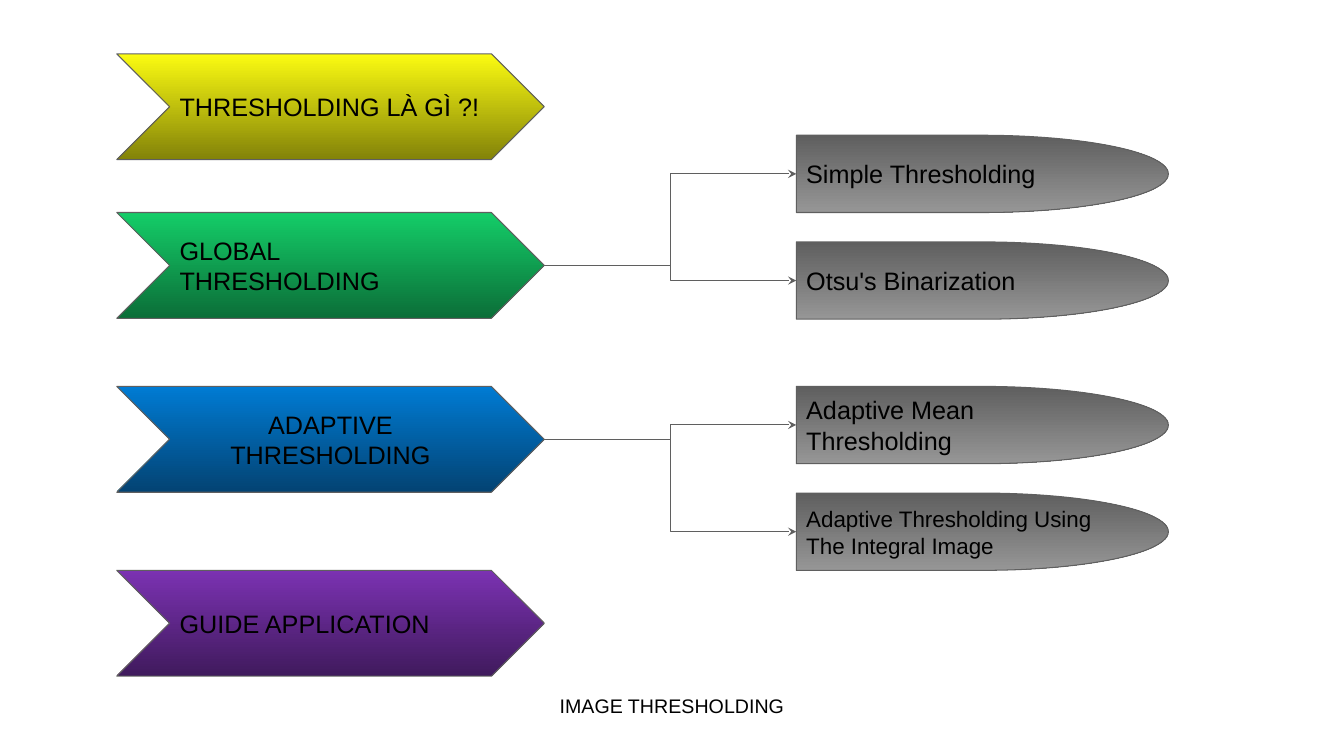
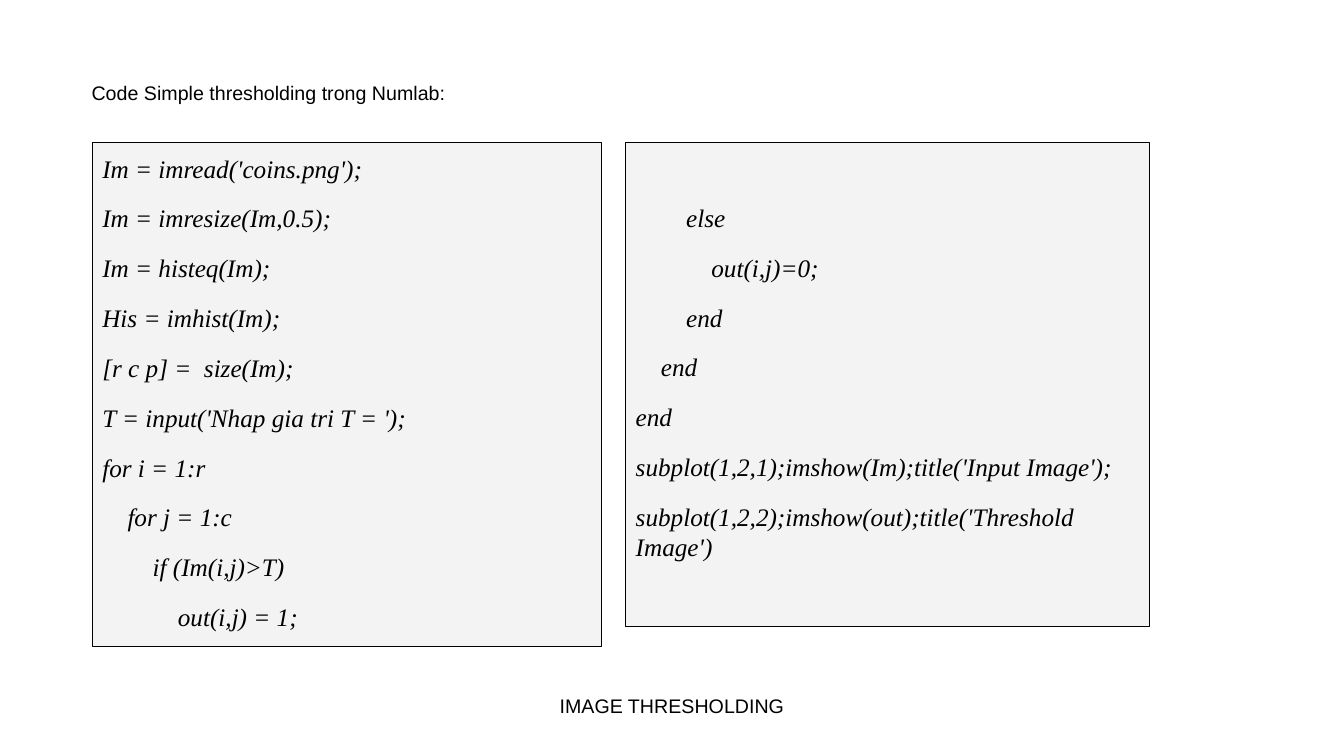
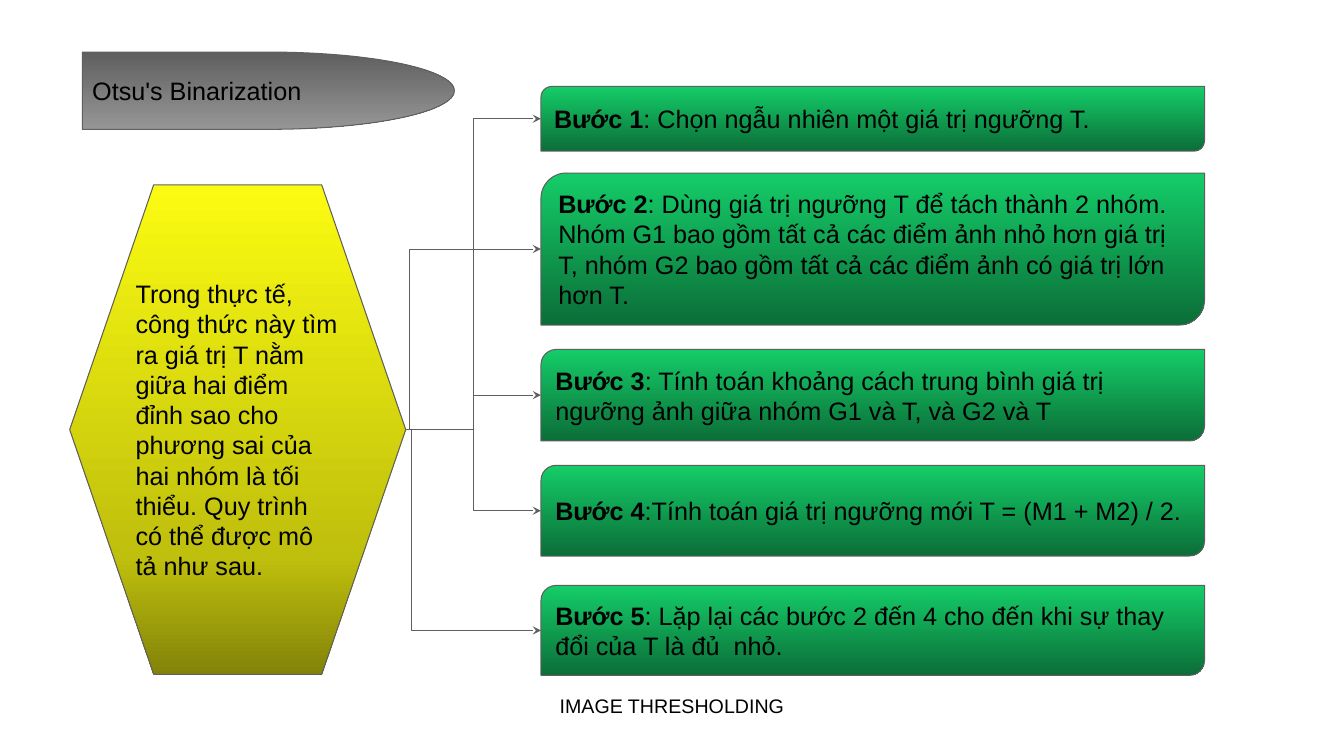
from dataclasses import dataclass
from typing import Optional

from lxml.etree import SubElement
from pptx import Presentation
from pptx.dml.color import RGBColor
from pptx.enum.shapes import MSO_CONNECTOR, MSO_SHAPE
from pptx.enum.text import MSO_ANCHOR, MSO_AUTO_SIZE, PP_ALIGN
from pptx.oxml.ns import qn
from pptx.util import Emu, Inches, Pt

WIDTH, HEIGHT = Inches(13.33), Inches(7.5)
COLUMNS, ROWS = 160, 90
TITLE_ONLY, BLANK = 5, 6

COLORS = {
    "text": "000000",
    "outline": "5F5F5F",
    "code_fill": "F3F3F3",
    "code_border": "000000",
}
GRADIENTS = {
    "yellow": ((0, "FBFB11"), (100, "838309")),
    "gold": ((0, "FBFB11"), (76, "BFBF0D"), (100, "838309")),
    "green": ((0, "14CD68"), (100, "0B6E38")),
    "blue": ((0, "007BD3"), (100, "034373")),
    "purple": ((0, "7B32B2"), (100, "401A5D")),
    "gray": ((0, "5F5F5F"), (100, "969696")),
}


@dataclass(frozen=True)
class Area:
    column: float
    row: float
    columns: float
    rows: float

    @property
    def right(self) -> float:
        return self.column + self.columns

    @property
    def middle(self) -> float:
        return self.row + self.rows / 2

    def lengths(self) -> tuple:
        return across(self.column), down(self.row), across(self.columns), down(self.rows)


@dataclass(frozen=True)
class Style:
    size: float = 18
    font: str = "Arial"
    italic: bool = False
    align: PP_ALIGN = PP_ALIGN.LEFT
    anchor: MSO_ANCHOR = MSO_ANCHOR.MIDDLE
    inset: float = 0.05
    top_inset: Optional[float] = None
    gap: float = 0


@dataclass(frozen=True)
class Line:
    text: str
    lead: str = ""
    level: int = 0


@dataclass(frozen=True)
class Topic:
    row: float
    text: str
    size: float = 18


@dataclass(frozen=True)
class Section:
    row: float
    text: str
    gradient: str
    align: PP_ALIGN = PP_ALIGN.LEFT
    topics: tuple = ()


@dataclass(frozen=True)
class Step:
    row: float
    rows: float
    text: str
    bend: float = 0.5


@dataclass(frozen=True)
class Listing:
    area: Area
    top_inset: float
    lines: tuple


CODE_INDENT = Inches(0.25)
FOOTER = "IMAGE THRESHOLDING"
FOOTER_AREA = Area(54.7, 82, 50.6, 6.2)
FOOTER_STYLE = Style(size=14, align=PP_ALIGN.CENTER, anchor=MSO_ANCHOR.TOP)
TITLE_AREA = Area(9.7, 8.4, 119.4, 8)
TITLE_STYLE = Style(size=14, anchor=MSO_ANCHOR.TOP, inset=0.1)

SECTIONS = (
    Section(6.4, "THRESHOLDING LÀ GÌ ?!", "yellow"),
    Section(25.3, "GLOBAL THRESHOLDING", "green", topics=(
        Topic(16.1, "Simple Thresholding"),
        Topic(28.8, "Otsu's Binarization"),
    )),
    Section(46, "ADAPTIVE THRESHOLDING", "blue", PP_ALIGN.CENTER, (
        Topic(46, "Adaptive Mean Thresholding"),
        Topic(58.7, "Adaptive Thresholding Using The Integral Image", 16),
    )),
    Section(67.9, "GUIDE APPLICATION", "purple"),
)

LISTINGS = (
    Listing(Area(11, 17, 60.6, 60), 0.1, (
        Line("Im = imread('coins.png');"),
        Line("Im = imresize(Im,0.5);"),
        Line("Im = histeq(Im);"),
        Line("His = imhist(Im);"),
        Line("[r c p] =  size(Im);"),
        Line("T = input('Nhap gia tri T = ');"),
        Line("for i = 1:r"),
        Line("for j = 1:c", level=1),
        Line("if (Im(i,j)>T)", level=2),
        Line("out(i,j) = 1;", level=3),
    )),
    Listing(Area(74.5, 17, 62.4, 57.6), 0.59, (
        Line("else", level=2),
        Line("out(i,j)=0;", level=3),
        Line("end", level=2),
        Line("end", level=1),
        Line("end"),
        Line("subplot(1,2,1);imshow(Im);title('Input Image');"),
        Line("subplot(1,2,2);imshow(out);title('Threshold Image')"),
    )),
)

OTSU_SUMMARY = (
    "Trong thực tế, công thức này tìm ra giá trị T nằm giữa hai điểm đỉnh sao cho "
    "phương sai của hai nhóm là tối thiểu. Quy trình có thể được mô tả như sau."
)
STEPS = (
    Step(10.3, 7.7, ": Chọn ngẫu nhiên một giá trị ngưỡng T."),
    Step(20.6, 18.1, ": Dùng giá trị ngưỡng T để tách thành 2 nhóm. Nhóm G1 bao gồm tất cả "
         "các điểm ảnh nhỏ hơn giá trị T, nhóm G2 bao gồm tất cả các điểm ảnh có giá trị "
         "lớn hơn T.", 0.03),
    Step(41.6, 10.9, ": Tính toán khoảng cách trung bình giá trị ngưỡng ảnh giữa nhóm G1 "
         "và T, và G2 và T"),
    Step(55.4, 10.8, ":Tính toán giá trị ngưỡng mới T = (M1 + M2) / 2."),
    Step(69.7, 10.7, ": Lặp lại các bước 2 đến 4 cho đến khi sự thay đổi của T là đủ  nhỏ.",
         0.04),
)


def across(columns: float) -> Emu:
    return Emu(round(WIDTH * columns / COLUMNS))


def down(rows: float) -> Emu:
    return Emu(round(HEIGHT * rows / ROWS))


def color(name: str) -> RGBColor:
    return RGBColor.from_string(COLORS[name])


def write(box, lines: tuple, style: Style) -> None:
    frame = box.text_frame
    frame.word_wrap = True
    frame.auto_size = MSO_AUTO_SIZE.NONE
    frame.vertical_anchor = style.anchor
    frame.margin_left = frame.margin_right = Inches(0.1)
    frame.margin_bottom = Inches(style.inset)
    frame.margin_top = Inches(style.top_inset or style.inset)
    for index, line in enumerate(lines):
        para = frame.add_paragraph() if index else frame.paragraphs[0]
        para.alignment = style.align
        para.space_before = Pt(style.gap if index else 0)
        if line.level:
            para._p.get_or_add_pPr().set("marL", str(CODE_INDENT * line.level))
        if line.lead:
            span = para.add_run()
            span.text = line.lead
            span.font.bold = True
        para.add_run().text = line.text
        for font in (para.font, *(span.font for span in para.runs)):
            font.name = style.font
            font.size = Pt(style.size)
            font.italic = style.italic
            font.color.rgb = color("text")


def add_box(page, kind: MSO_SHAPE, area: Area, border: str):
    box = page.shapes.add_shape(kind, *area.lengths())
    box.shadow.inherit = False
    box.line.color.rgb = color(border)
    box.line.width = Pt(0.75)
    return box


def add_gradient_box(page, kind: MSO_SHAPE, area: Area, gradient: str,
                     line: Line, style: Style = Style()) -> None:
    box = add_box(page, kind, area, "outline")
    box.fill.gradient()
    box.fill.gradient_angle = 270
    stops = box._element.spPr.find(qn("a:gradFill")).find(qn("a:gsLst"))
    stops.clear()
    for percent, value in GRADIENTS[gradient]:
        stop = SubElement(stops, qn("a:gs"), pos=str(percent * 1000))
        SubElement(stop, qn("a:srgbClr"), val=value)
    write(box, (line,), style)


def add_delay(page, column: float, topic: Topic) -> Area:
    area = Area(column, topic.row, 44.3, 9.2)
    add_gradient_box(page, MSO_SHAPE.FLOWCHART_DELAY, area, "gray",
                     Line(topic.text), Style(size=topic.size))
    return area


def add_arrow(page, source: Area, target: Area, bend: float = 0.5) -> None:
    arrow = page.shapes.add_connector(
        MSO_CONNECTOR.ELBOW,
        across(source.right), down(source.middle),
        across(target.column), down(target.middle),
    )
    arrow.line.color.rgb = color("outline")
    arrow.line.width = Pt(0.75)
    properties = arrow._element.spPr
    guides = properties.find(qn("a:prstGeom")).get_or_add_avLst()
    SubElement(guides, qn("a:gd"), name="adj1", fmla=f"val {round(bend * 100000)}")
    SubElement(properties.find(qn("a:ln")), qn("a:tailEnd"), type="stealth")
    SubElement(properties, qn("a:effectLst"))


def add_page(deck, layout: int):
    page = deck.slides.add_slide(deck.slide_layouts[layout])
    footer = page.shapes.add_textbox(*FOOTER_AREA.lengths())
    write(footer, (Line(FOOTER),), FOOTER_STYLE)
    return page


def add_overview(deck) -> None:
    page = add_page(deck, BLANK)
    for section in SECTIONS:
        chevron = Area(13.9, section.row, 50.9, 12.6)
        add_gradient_box(page, MSO_SHAPE.CHEVRON, chevron, section.gradient,
                         Line(section.text), Style(align=section.align))
        for topic in section.topics:
            add_arrow(page, chevron, add_delay(page, 94.8, topic))


def add_code(deck) -> None:
    page = add_page(deck, TITLE_ONLY)
    title = page.shapes.title
    title.left, title.top, title.width, title.height = TITLE_AREA.lengths()
    write(title, (Line("Code Simple thresholding trong Numlab:"),), TITLE_STYLE)
    for listing in LISTINGS:
        box = add_box(page, MSO_SHAPE.RECTANGLE, listing.area, "code_border")
        box.fill.solid()
        box.fill.fore_color.rgb = color("code_fill")
        write(box, listing.lines, Style(
            font="Times New Roman", italic=True, anchor=MSO_ANCHOR.TOP,
            inset=0.1, top_inset=listing.top_inset, gap=14,
        ))


def add_otsu(deck) -> None:
    page = add_page(deck, BLANK)
    add_delay(page, 9.8, Topic(6.2, "Otsu's Binarization"))
    summary = Area(8.3, 22, 40, 58.3)
    add_gradient_box(page, MSO_SHAPE.HEXAGON, summary, "gold", Line(OTSU_SUMMARY))
    for number, step in enumerate(STEPS, 1):
        area = Area(64.4, step.row, 79, step.rows)
        add_gradient_box(page, MSO_SHAPE.ROUND_2_DIAG_RECTANGLE, area, "green",
                         Line(step.text, lead=f"Bước {number}"))
        add_arrow(page, summary, area, step.bend)


def main() -> None:
    deck = Presentation()
    deck.slide_width, deck.slide_height = WIDTH, HEIGHT
    add_overview(deck)
    add_code(deck)
    add_otsu(deck)
    deck.save("out.pptx")


if __name__ == "__main__":
    main()
